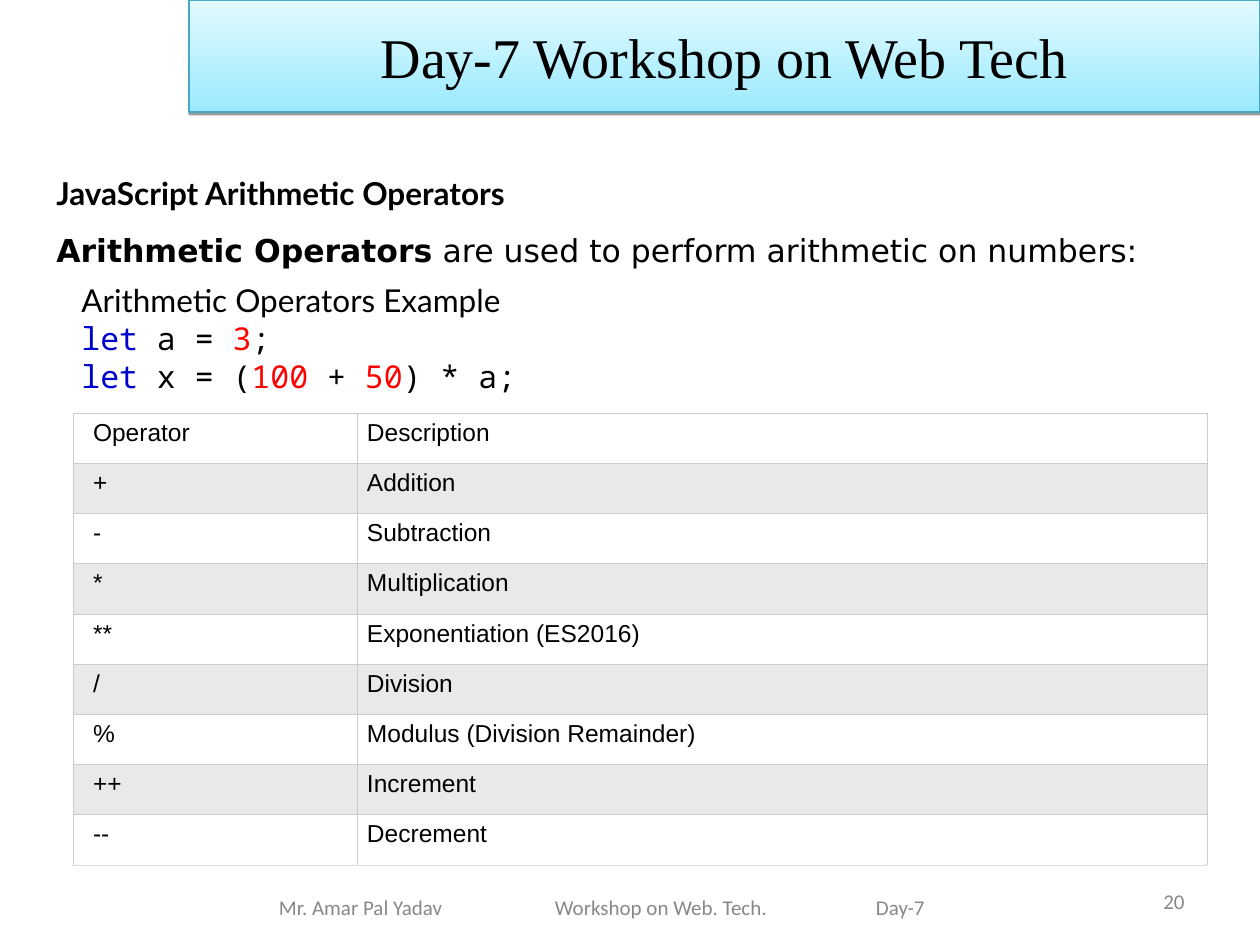
from dataclasses import dataclass

from lxml.etree import SubElement
from pptx import Presentation
from pptx.dml.color import RGBColor
from pptx.enum.text import MSO_ANCHOR, MSO_AUTO_SIZE, PP_ALIGN
from pptx.oxml import parse_xml
from pptx.oxml.ns import nsdecls, qn
from pptx.util import Emu, Pt

PX_PER_INCH = 126
TITLE_ONLY = 5


@dataclass(frozen=True)
class Theme:
    ink: str = "000000"
    muted: str = "888888"
    keyword: str = "0000CD"
    number: str = "FF0000"
    banner_bottom: str = "9BE9FF"
    banner_top: str = "E2FBFF"
    banner_line: str = "45A9C4"
    row: str = "FFFFFF"
    band: str = "E7E9EB"
    grid: str = "CCCCCC"
    grid_end: str = "DDDDDD"
    title_size: int = 32
    body_size: int = 18
    table_size: int = 14
    footer_size: int = 12
    title_font: str = "Times New Roman"
    heading_font: str = "Lato"
    body_font: str = "DejaVu Sans"
    code_font: str = "Noto Sans Mono"
    table_font: str = "Arial"
    footer_font: str = "Calibri"


def px(n):
    return Emu(round(n * 914400 / PX_PER_INCH))


def add_text(p, text, *, font, size, color="000000", bold=False):
    r = p.add_run()
    r.text = text
    r.font.name = font
    r.font.size = Pt(size)
    r.font.bold = bold
    r.font.color.rgb = RGBColor.from_string(color)
    return r


class SlideBuilder:
    def __init__(self, slide, theme):
        self.s = slide
        self.theme = theme

    def banner(self, text, x, y, w, h):
        t, sp = self.theme, self.s.shapes.title
        sp.left, sp.top, sp.width, sp.height = map(px, (x, y, w, h))
        sp.fill.gradient()
        sp.fill.gradient_angle = 90
        for stop, color in zip(sp.fill.gradient_stops, (t.banner_bottom, t.banner_top)):
            stop.color.rgb = RGBColor.from_string(color)
        sp.line.color.rgb = RGBColor.from_string(t.banner_line)
        sp.line.width = Pt(0.75)
        sp.element.spPr.append(parse_xml(
            f'<a:effectLst {nsdecls("a")}><a:outerShdw blurRad="0" dist="20000" '
            'dir="5400000" rotWithShape="0"><a:srgbClr val="000000">'
            '<a:alpha val="38000"/></a:srgbClr></a:outerShdw></a:effectLst>'))
        tf = sp.text_frame
        tf.auto_size = MSO_AUTO_SIZE.NONE
        tf.vertical_anchor = MSO_ANCHOR.MIDDLE
        p = tf.paragraphs[0]
        p.alignment = PP_ALIGN.CENTER
        add_text(p, text, font=t.title_font, size=t.title_size, color=t.ink)

    def text_box(self, x, y, w, h, anchor=MSO_ANCHOR.TOP):
        tf = self.s.shapes.add_textbox(*map(px, (x, y, w, h))).text_frame
        tf.word_wrap = True
        tf.vertical_anchor = anchor
        return tf

    def paragraphs(self, lines, x, y, w, h, spacing=1.0):
        """Each line is a list of (text, format) runs."""
        tf = self.text_box(x, y, w, h)
        for i, runs in enumerate(lines):
            p = tf.add_paragraph() if i else tf.paragraphs[0]
            p.line_spacing = spacing
            for text, fmt in runs:
                add_text(p, text, size=self.theme.body_size, **fmt)

    def footer(self, text, x, y, w, h, align=PP_ALIGN.LEFT, inset=13, tabs=()):
        t = self.theme
        tf = self.text_box(x, y, w, h, MSO_ANCHOR.MIDDLE)
        tf.margin_left = px(inset)
        p = tf.paragraphs[0]
        p.alignment = align
        add_text(p, text, font=t.footer_font, size=t.footer_size, color=t.muted)
        if tabs:
            tab_list = SubElement(p._p.get_or_add_pPr(), qn("a:tabLst"))
            for pos in tabs:
                SubElement(tab_list, qn("a:tab"), pos=str(px(pos)), algn="l")

    def table(self, rows, x, y, h, widths, insets):
        t = self.theme
        table = self.s.shapes.add_table(
            len(rows), len(widths), *map(px, (x, y, sum(widths), h))).table
        table.first_row = table.horz_banding = False
        for col, width in zip(table.columns, widths):
            col.width = px(width)
        for i, row in enumerate(rows):
            for j, text in enumerate(row):
                cell = table.cell(i, j)
                cell.margin_left, cell.margin_right = px(insets[j]), px(10)
                cell.margin_top = cell.margin_bottom = px(6)
                cell.fill.solid()
                cell.fill.fore_color.rgb = RGBColor.from_string(t.band if i % 2 else t.row)
                add_text(cell.text_frame.paragraphs[0], text,
                         font=t.table_font, size=t.table_size, color=t.ink)
                self.borders(cell, last=i == len(rows) - 1)

    def borders(self, cell, last):
        t = self.theme
        tcPr = cell._tc.get_or_add_tcPr()
        for k, side in enumerate("LRTB"):
            color = t.grid_end if last and side == "B" else t.grid
            tcPr.insert(k, parse_xml(
                f'<a:ln{side} {nsdecls("a")} w="{Pt(0.34)}"><a:solidFill>'
                f'<a:srgbClr val="{color}"/></a:solidFill></a:ln{side}>'))


def main():
    prs = Presentation()
    prs.slide_width, prs.slide_height = px(1260), px(945)
    t = Theme()
    page = SlideBuilder(prs.slides.add_slide(prs.slide_layouts[TITLE_ONLY]), t)

    # Title banner
    page.banner("Day-7 Workshop on Web Tech", 189, 0, 1071, 112)

    # Heading and definition
    heading, body = {"font": t.heading_font}, {"font": t.body_font}
    page.paragraphs([
        [("JavaScript Arithmetic Operators", {**heading, "bold": True})],
        [("Arithmetic Operators", {**body, "bold": True}),
         (" are used to perform arithmetic on numbers:", body)],
    ], 44, 149, 1172, 126, spacing=1.5)

    # Code example
    code = {"font": t.code_font, "color": t.ink}
    keyword = {**code, "color": t.keyword}
    number = {**code, "color": t.number}
    page.paragraphs([
        [("Arithmetic Operators Example", heading)],
        [("let", keyword), (" a = ", code), ("3", number), (";", code)],
        [("let", keyword), (" x = (", code), ("100", number), (" + ", code),
         ("50", number), (") * a;", code)],
    ], 69, 275, 630, 126)

    # Operator table
    page.table([
        ("Operator", "Description"),
        ("+", "Addition"),
        ("-", "Subtraction"),
        ("*", "Multiplication"),
        ("**", "Exponentiation (ES2016)"),
        ("/", "Division"),
        ("%", "Modulus (Division Remainder)"),
        ("++", "Increment"),
        ("--", "Decrement"),
    ], 73, 413, 452, widths=(284, 850), insets=(20, 10))

    # Footer and page number
    page.footer("Mr. Amar Pal Yadav\tWorkshop on Web. Tech.\tDay-7",
                176, 882, 853, 50, inset=103, tabs=(276, 597))
    page.footer("20", 903, 876, 294, 50, align=PP_ALIGN.RIGHT)

    prs.save("out.pptx")


if __name__ == "__main__":
    main()
